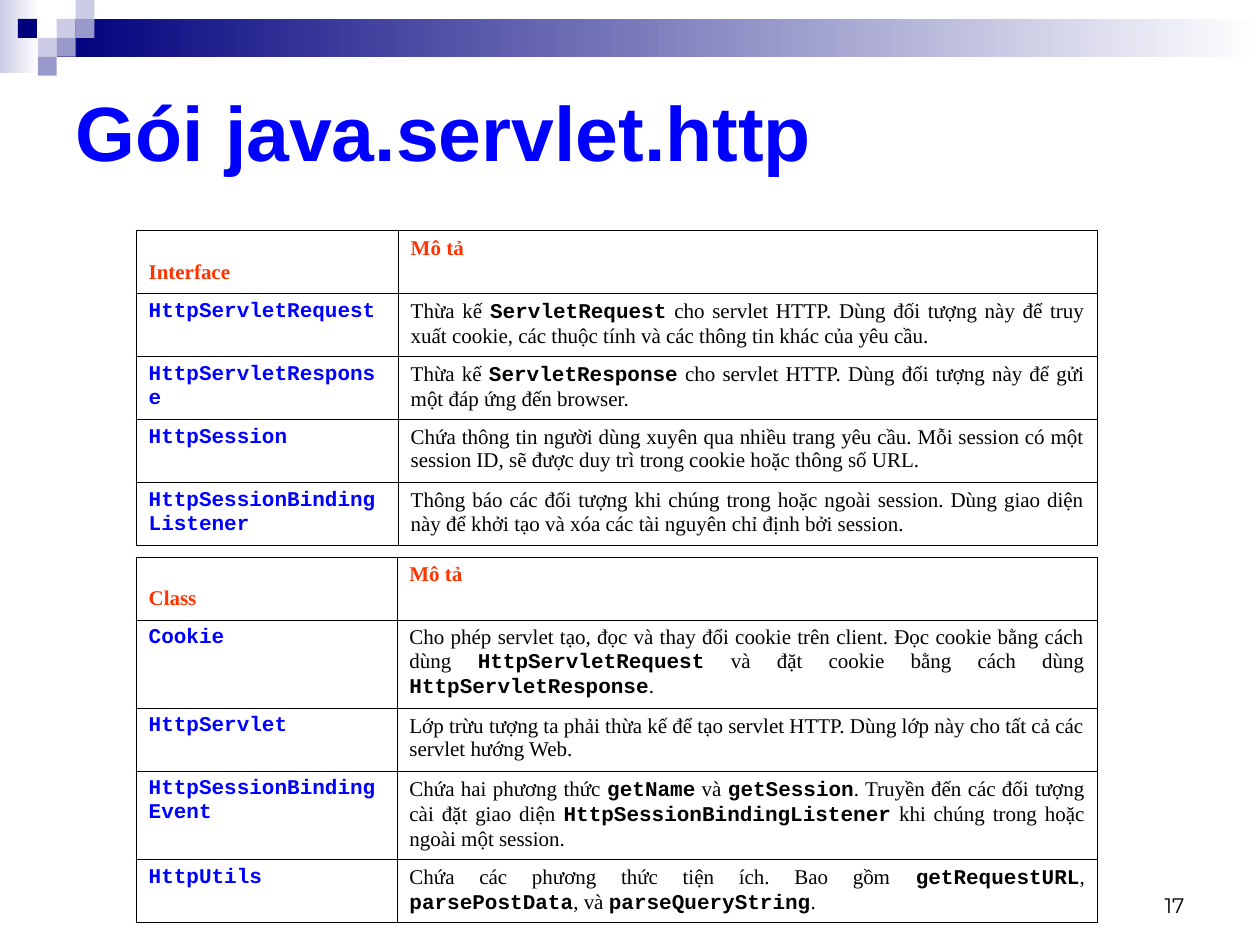
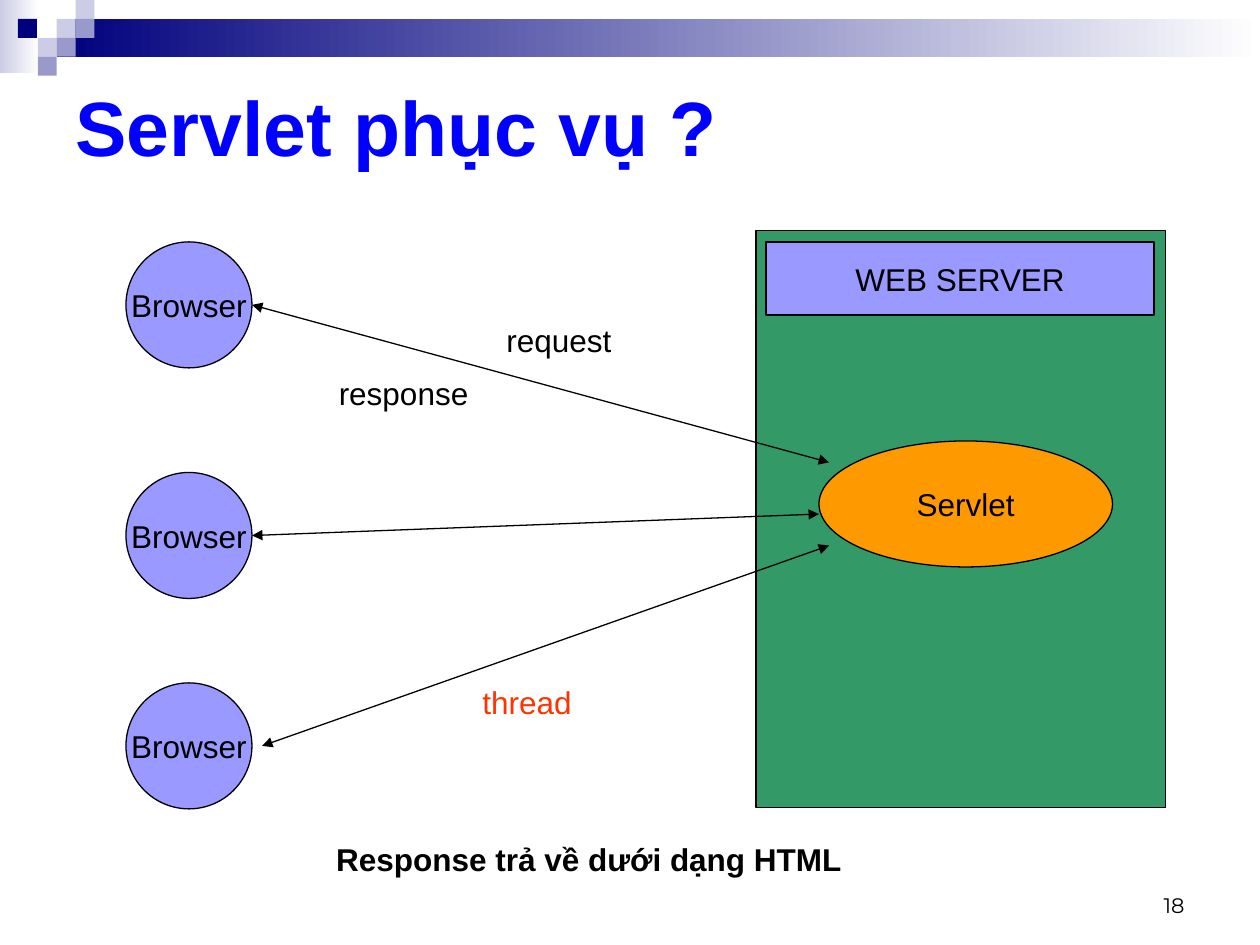
from lxml.etree import SubElement
from pptx import Presentation
from pptx.dml.color import RGBColor
from pptx.enum.shapes import MSO_CONNECTOR as Line, MSO_SHAPE as Preset
from pptx.enum.text import MSO_ANCHOR as Anchor, MSO_AUTO_SIZE as AutoSize, PP_ALIGN as Align
from pptx.oxml import parse_xml
from pptx.oxml.ns import nsdecls, qn
from pptx.util import Inches, Pt

# Colours
BLACK = RGBColor(0x00, 0x00, 0x00)
WHITE = RGBColor(0xFF, 0xFF, 0xFF)
BLUE = RGBColor(0x00, 0x00, 0xFF)
RED = RGBColor(0xFF, 0x33, 0x00)
NAVY = RGBColor(0x00, 0x00, 0x7D)
PALE = RGBColor(0xCC, 0xCC, 0xE6)
LAVENDER = RGBColor(0x99, 0x99, 0xCC)
VIOLET = RGBColor(0x99, 0x99, 0xFF)
GREEN = RGBColor(0x33, 0x99, 0x66)
ORANGE = RGBColor(0xFF, 0x99, 0x00)

# Fonts
SANS, SERIF, MONO, NUMERAL = "Arial", "Times New Roman", "Courier New", "Montserrat"

# Corner mosaic: column, row and colour on a grid of small squares
SQUARE = 0.15
MOSAIC = [(3, 1, PALE), (4, 0, PALE), (4, 1, LAVENDER), (2, 2, PALE),
          (0.95, 1, NAVY), (3, 2, LAVENDER), (2, 3, LAVENDER)]

# Table rows: name, description with code between backticks
INTERFACES = [
    ("HttpServletRequest",
     "Thừa kế `ServletRequest` cho servlet HTTP. Dùng đối tượng này để truy xuất cookie, "
     "các thuộc tính và các thông tin khác của yêu cầu."),
    ("HttpServletResponse",
     "Thừa kế `ServletResponse` cho servlet HTTP. Dùng đối tượng này để gửi một đáp ứng "
     "đến browser."),
    ("HttpSession",
     "Chứa thông tin người dùng xuyên qua nhiều trang yêu cầu. Mỗi session có một session ID, "
     "sẽ được duy trì trong cookie hoặc thông số URL."),
    ("HttpSessionBinding\nListener",
     "Thông báo các đối tượng khi chúng trong hoặc ngoài session. Dùng giao diện này để "
     "khởi tạo và xóa các tài nguyên chỉ định bởi session."),
]
CLASSES = [
    ("Cookie",
     "Cho phép servlet tạo, đọc và thay đổi cookie trên client. Đọc cookie bằng cách dùng "
     "`HttpServletRequest` và đặt cookie bằng cách dùng `HttpServletResponse`."),
    ("HttpServlet",
     "Lớp trừu tượng ta phải thừa kế để tạo servlet HTTP. Dùng lớp này cho tất cả các "
     "servlet hướng Web."),
    ("HttpSessionBindingEvent",
     "Chứa hai phương thức `getName` và `getSession`. Truyền đến các đối tượng cài đặt "
     "giao diện `HttpSessionBindingListener` khi chúng trong hoặc ngoài một session."),
    ("HttpUtils",
     "Chứa các phương thức tiện ích. Bao gồm `getRequestURL`, `parsePostData`, "
     "và `parseQueryString`."),
]


def write(para, text, font=SANS, size=18, color=BLACK, bold=False, align=None):
    """Add a formatted span to a paragraph."""
    span = para.add_run()
    span.text = text
    span.font.name = font
    span.font.size = Pt(size)
    span.font.bold = bold
    span.font.color.rgb = color
    if align is not None:
        para.alignment = align


class SlideBuilder:
    """Holds the deck, its shared style and the current page."""

    def __init__(self):
        self.deck = Presentation()
        self.deck.slide_width, self.deck.slide_height = Inches(10), Inches(7.5)
        self.page = None

    def start_page(self, title, number, title_height):
        self.page = self.deck.slides.add_slide(self.deck.slide_layouts[5])
        # Bands and corner mosaic
        self.shape(0, 0, 0.31, 0.58, fill=(PALE, WHITE), outline=False)
        self.shape(0.45, 0.15, 9.55, 0.3, fill=(NAVY, WHITE), outline=False)
        for column, row, color in MOSAIC:
            self.shape(column * SQUARE, row * SQUARE, SQUARE, SQUARE, fill=color, outline=False)
        # Title
        box = self.page.shapes.title
        box.left, box.top = Inches(0.5), Inches(0.5)
        box.width, box.height = Inches(9), Inches(title_height)
        box.text_frame.auto_size = AutoSize.NONE
        box.text_frame.vertical_anchor = Anchor.MIDDLE
        write(box.text_frame.paragraphs[0], title, size=44, color=BLUE, bold=True,
              align=Align.LEFT)
        # Page number
        self.label(7.17, 6.83, 2.33, 0.5, number, anchor=Anchor.BOTTOM, font=NUMERAL,
                   size=12, align=Align.RIGHT)

    def shape(self, left, top, width, height, fill, preset=Preset.RECTANGLE, text=None,
              outline=True):
        shape = self.page.shapes.add_shape(preset, Inches(left), Inches(top),
                                           Inches(width), Inches(height))
        shape.shadow.inherit = False
        if isinstance(fill, RGBColor):
            shape.fill.solid()
            shape.fill.fore_color.rgb = fill
        else:
            shape.fill.gradient()
            shape.fill.gradient_angle = 0
            for stop, color, position in zip(shape.fill.gradient_stops, fill, (0, 1)):
                stop.color.rgb, stop.position = color, position
        if outline:
            shape.line.color.rgb = BLACK
            shape.line.width = Pt(0.75)
        else:
            shape.line.fill.background()
        if text:
            shape.text_frame.word_wrap = False
            shape.text_frame.vertical_anchor = Anchor.MIDDLE
            write(shape.text_frame.paragraphs[0], text, align=Align.CENTER)

    def label(self, left, top, width, height, text, anchor=Anchor.TOP, **style):
        box = self.page.shapes.add_textbox(Inches(left), Inches(top), Inches(width),
                                           Inches(height))
        box.text_frame.word_wrap = True
        box.text_frame.vertical_anchor = anchor
        write(box.text_frame.paragraphs[0], text, **style)

    def arrow(self, x1, y1, x2, y2):
        arrow = self.page.shapes.add_connector(Line.STRAIGHT, Inches(x1), Inches(y1),
                                               Inches(x2), Inches(y2))
        arrow.line.color.rgb = BLACK
        arrow.line.width = Pt(0.75)
        properties = arrow.element.spPr
        for end in ("a:headEnd", "a:tailEnd"):
            SubElement(properties.find(qn("a:ln")), qn(end), type="triangle")
        SubElement(properties, qn("a:effectLst"))

    def table(self, top, heading, entries, columns, heights):
        table = self.page.shapes.add_table(
            len(heights), len(columns), Inches(1.08), Inches(top),
            Inches(sum(columns)), Inches(sum(heights))).table
        table.first_row = table.horz_banding = False
        for column, width in zip(table.columns, columns):
            column.width = Inches(width)
        for row, height in zip(table.rows, heights):
            row.height = Inches(height)
        # Header row: the first heading sits one line lower
        table.cell(0, 0).margin_top = Inches(0.24)
        for index, text in enumerate((heading, "Mô tả")):
            write(table.cell(0, index).text_frame.paragraphs[0], text, font=SERIF, size=12,
                  color=RED, bold=True, align=Align.JUSTIFY)
        # Entries
        for index, (name, description) in enumerate(entries, start=1):
            frame = table.cell(index, 0).text_frame
            for order, line in enumerate(name.split("\n")):
                para = frame.add_paragraph() if order else frame.paragraphs[0]
                write(para, line, font=MONO, size=12, color=BLUE, bold=True,
                      align=Align.JUSTIFY)
            para = table.cell(index, 1).text_frame.paragraphs[0]
            for order, part in enumerate(description.split("`")):
                is_code = order % 2 == 1
                write(para, part, font=MONO if is_code else SERIF, size=12, bold=is_code,
                      align=Align.JUSTIFY)
        for cell in table.iter_cells():
            cell.fill.background()
            self.border(cell)

    def border(self, cell):
        properties = cell._tc.get_or_add_tcPr()
        for order, side in enumerate(("lnL", "lnR", "lnT", "lnB")):
            properties.insert(order, parse_xml(
                f'<a:{side} {nsdecls("a")} w="{Pt(0.45)}"><a:solidFill>'
                f'<a:srgbClr val="{BLACK}"/></a:solidFill></a:{side}>'))


def add_package_page(builder):
    builder.start_page("Gói java.servlet.http", "17", title_height=1.08)
    builder.table(1.83, "Interface", INTERFACES, (2.08, 5.55), [0.5] * 5)
    builder.table(4.42, "Class", CLASSES, (2.07, 5.56), (0.5, 0.7, 0.5, 0.7, 0.5))


def add_service_page(builder):
    builder.start_page("Servlet phục vụ ?", "18", title_height=1)
    # Browsers and server
    for top in (1.92, 3.75, 5.42):
        builder.shape(1, top, 1, 1, VIOLET, Preset.OVAL, "Browser")
    builder.shape(6, 1.83, 3.25, 4.58, GREEN)
    builder.shape(6.08, 1.92, 3.08, 0.58, VIOLET, text="WEB SERVER")
    builder.shape(6.5, 3.5, 2.33, 1, ORANGE, Preset.OVAL, "Servlet")
    # Exchanges between each browser and the servlet
    builder.arrow(2, 2.42, 6.58, 3.67)
    builder.arrow(2, 4.25, 6.5, 4.08)
    builder.arrow(2.08, 5.92, 6.58, 4.33)
    # Labels, each a little wider than its text so that it stays on one line
    builder.label(3.92, 2.5, 1.15, 0.4, "request")
    builder.label(2.59, 2.92, 1.35, 0.4, "response")
    builder.label(3.73, 5.37, 1.05, 0.4, "thread", color=RED)
    builder.label(2.57, 6.62, 4.35, 0.4, "Response trả về dưới dạng HTML", bold=True)


def main():
    builder = SlideBuilder()
    add_package_page(builder)
    add_service_page(builder)
    builder.deck.save("out.pptx")


if __name__ == "__main__":
    main()
